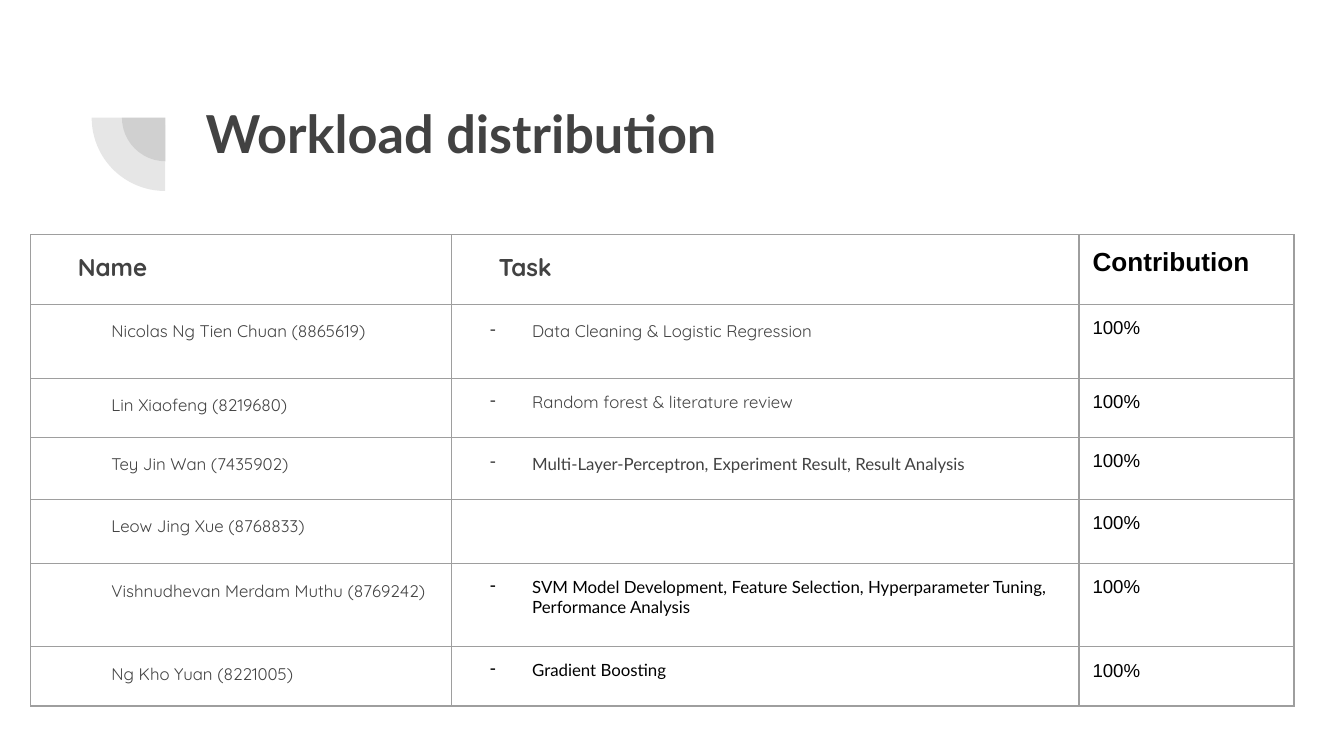
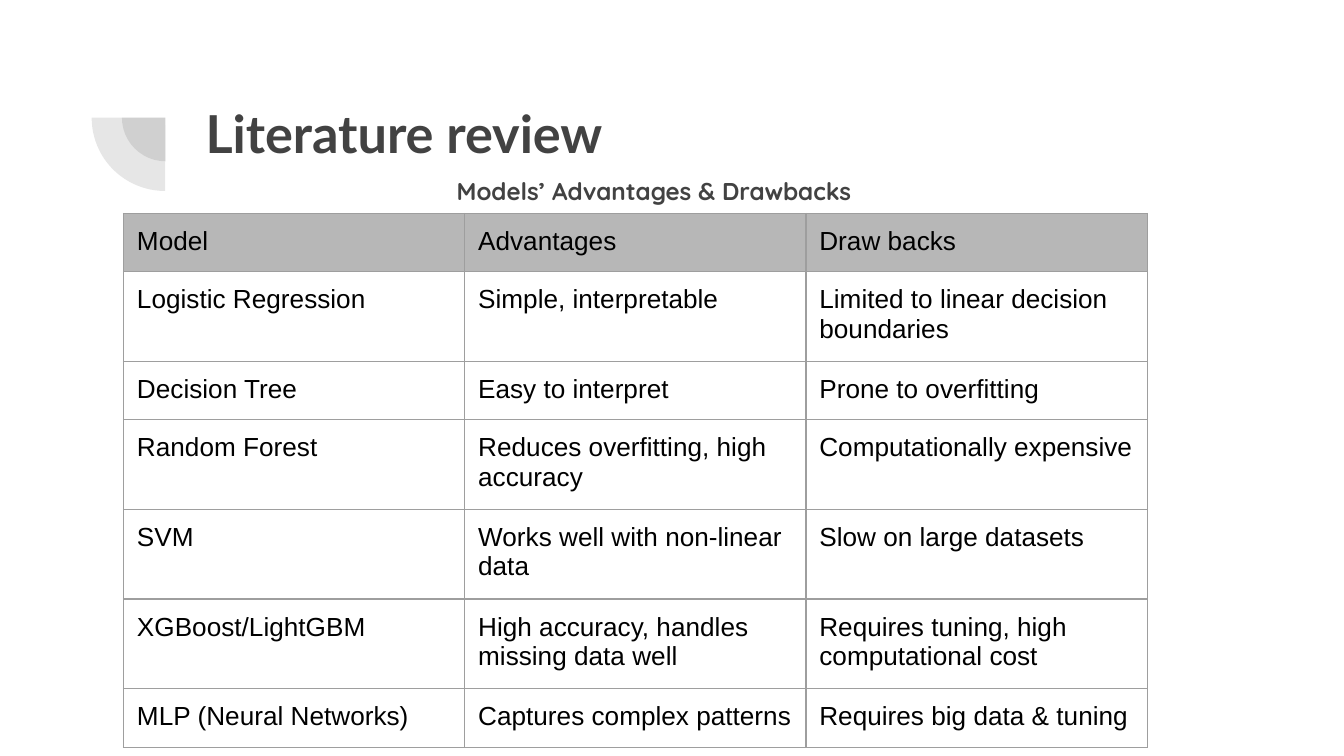
"""Build two slides: the workload distribution and the literature review."""
from lxml.etree import SubElement
from pptx import Presentation
from pptx.dml.color import RGBColor
from pptx.enum.shapes import MSO_SHAPE as Shape
from pptx.oxml.ns import qn
from pptx.util import Pt

CHARCOAL = RGBColor(0x42, 0x42, 0x42)
BLACK = RGBColor(0, 0, 0)
HEADER_GRAY = RGBColor(0xB7, 0xB7, 0xB7)
BORDER_GRAY = RGBColor(0x9E, 0x9E, 0x9E)
INSET = 7.2

HEADING = ("Quicksand", 13, CHARCOAL, True)
MEMBER = ("Quicksand", 9, CHARCOAL, False)
TASK = ("Lato", 9, CHARCOAL, False)
OWN_TASK = ("Lato", 9, BLACK, False)
SHARE_HEADING = ("Arial", 14, BLACK, True)
SHARE = ("Arial", 10, BLACK, False)
REVIEW = ("Arial", 14, BLACK, False)

WORKLOAD = [
    ("Nicolas Ng Tien Chuan (8865619)", "Data Cleaning & Logistic Regression", MEMBER, 1.15),
    ("Lin Xiaofeng (8219680)", "Random forest & literature review", MEMBER, None),
    ("Tey Jin Wan (7435902)", "Multi-Layer-Perceptron, Experiment Result, Result Analysis", TASK, 1.15),
    ("Leow Jing Xue (8768833)", "", TASK, None),
    ("Vishnudhevan Merdam Muthu (8769242)",
     "SVM Model Development, Feature Selection, Hyperparameter Tuning, Performance Analysis",
     OWN_TASK, None),
    ("Ng Kho Yuan (8221005)", "Gradient Boosting", OWN_TASK, None),
]
MODELS = [
    ("Model", "Advantages", "Draw backs"),
    ("Logistic Regression", "Simple, interpretable", "Limited to linear decision boundaries"),
    ("Decision Tree", "Easy to interpret", "Prone to overfitting"),
    ("Random Forest", "Reduces overfitting, high accuracy", "Computationally expensive"),
    ("SVM", "Works well with non-linear data", "Slow on large datasets"),
    ("XGBoost/LightGBM", "High accuracy, handles missing data well",
     "Requires tuning, high computational cost"),
    ("MLP (Neural Networks)", "Captures complex patterns", "Requires big data & tuning"),
]


def write(frame, text, style, spacing=None, after=None, indent=None, bullet=None):
    """Write one styled paragraph into a text frame."""
    paragraph = frame.paragraphs[0]
    paragraph.text = text
    if spacing:
        paragraph.line_spacing = spacing
    if after:
        paragraph.space_after = Pt(after)
    properties = paragraph._p.get_or_add_pPr()
    if indent:
        left, first = indent
        properties.set("marL", str(Pt(left)))
        properties.set("indent", str(Pt(first)))
    if bullet is not None:
        color = SubElement(properties, qn("a:buClr"))
        SubElement(color, qn("a:srgbClr")).set("val", str(bullet))
        SubElement(properties, qn("a:buChar")).set("char", "-")
    font = paragraph.font
    font.name, size, font.color.rgb, font.bold = style
    font.size = Pt(size)


def add_text(slide, box, text, style, **layout):
    """Add a wrapped text box with even insets."""
    frame = slide.shapes.add_textbox(*map(Pt, box)).text_frame
    frame.word_wrap = True
    frame.margin_left = frame.margin_right = Pt(INSET)
    frame.margin_top = frame.margin_bottom = Pt(INSET)
    write(frame, text, style, **layout)


def add_quarter(slide, center_x, center_y, radius):
    """Add a translucent quarter disc below and left of its center."""
    quarter = slide.shapes.add_shape(
        Shape.PIE, Pt(center_x - radius), Pt(center_y - radius), Pt(2 * radius), Pt(2 * radius))
    quarter.rotation = 270
    quarter.adjustments[0], quarter.adjustments[1] = 107.93, 162
    quarter.shadow.inherit = False
    quarter.line.fill.background()
    quarter.fill.solid()
    quarter.fill.fore_color.rgb = CHARCOAL
    color = quarter._element.spPr.find(qn("a:solidFill"))[0]
    SubElement(color, qn("a:alpha")).set("val", "13000")


def add_titled_slide(deck, title):
    """Add a slide with the quarter-disc ornament and its title."""
    slide = deck.slides.add_slide(deck.slide_layouts[6])
    add_quarter(slide, 88.7, 63, 23.4)
    add_quarter(slide, 88.4, 63, 39.3)
    add_text(slide, (103, 46.8, 553.7, 78.5), title, ("Lato", 28, CHARCOAL, True))
    return slide


def style_cell(cell, fill):
    """Give a cell its insets, fill and thin gray borders."""
    cell.margin_left = cell.margin_right = Pt(INSET)
    cell.margin_top = cell.margin_bottom = Pt(INSET)
    properties = cell._tc.get_or_add_tcPr()
    for side in ("lnL", "lnR", "lnT", "lnB"):
        border = SubElement(properties, qn(f"a:{side}"), w=str(Pt(0.75)))
        color = SubElement(border, qn("a:solidFill"))
        SubElement(color, qn("a:srgbClr")).set("val", str(BORDER_GRAY))
    if fill is None:
        cell.fill.background()
    else:
        cell.fill.solid()
        cell.fill.fore_color.rgb = fill


def add_grid(slide, left, top, widths, heights, header_fill=None):
    """Add an empty bordered table and return it."""
    table = slide.shapes.add_table(
        len(heights), len(widths), Pt(left), Pt(top), Pt(sum(widths)), Pt(sum(heights))).table
    table.first_row = table.horz_banding = False
    for column, width in zip(table.columns, widths):
        column.width = Pt(width)
    for index, (row, height) in enumerate(zip(table.rows, heights)):
        row.height = Pt(height)
        for cell in row.cells:
            style_cell(cell, header_fill if index == 0 else None)
    return table


def add_workload_table(slide, left, top):
    """Add the table of members, tasks and contributions."""
    table = add_grid(slide, left, top, (225.4, 336.2, 115.2),
                     (37.4, 39.6, 31.7, 33.1, 34.5, 44.6, 31.7))
    for column, heading in enumerate(("Name", "Task")):
        write(table.cell(0, column).text_frame, heading, HEADING,
              spacing=1.15, after=12, indent=(36, -18))
    write(table.cell(0, 2).text_frame, "Contribution", SHARE_HEADING)
    for row, (member, task, style, spacing) in enumerate(WORKLOAD, 1):
        write(table.cell(row, 0).text_frame, member, MEMBER,
              spacing=1.15, after=12, indent=(36, 0))
        write(table.cell(row, 1).text_frame, task, style, spacing=spacing,
              indent=(36, -22.5), bullet=style[2] if task else None)
        write(table.cell(row, 2).text_frame, "100%", SHARE)


def add_review_table(slide, left, top):
    """Add the table of models with their advantages and drawbacks."""
    table = add_grid(slide, left, top, [182.8] * 3,
                     (27.4, 41.8, 27.4, 41.8, 41.8, 41.8, 31.7), HEADER_GRAY)
    for row, texts in enumerate(MODELS):
        for column, text in enumerate(texts):
            write(table.cell(row, column).text_frame, text, REVIEW)


def main():
    """Build and save the deck."""
    deck = Presentation()
    deck.slide_width, deck.slide_height = Pt(720), Pt(405)
    add_workload_table(add_titled_slide(deck, "Workload distribution"), 16.5, 125.7)
    review = add_titled_slide(deck, "Literature review")
    add_review_table(review, 66.2, 114.3)
    add_text(review, (237.6, 85, 238.3, 66.2), "Models’ Advantages & Drawbacks",
             HEADING, spacing=1.15)
    deck.save("out.pptx")


if __name__ == "__main__":
    main()
